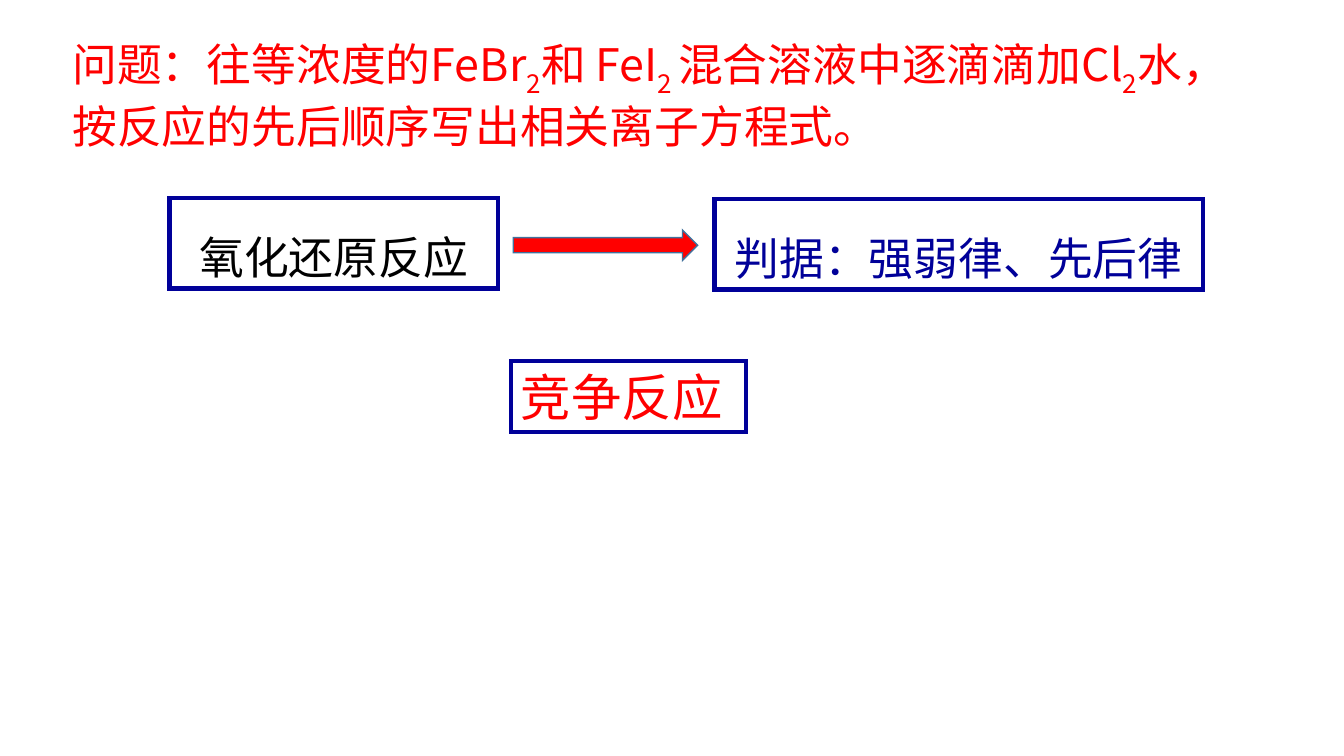
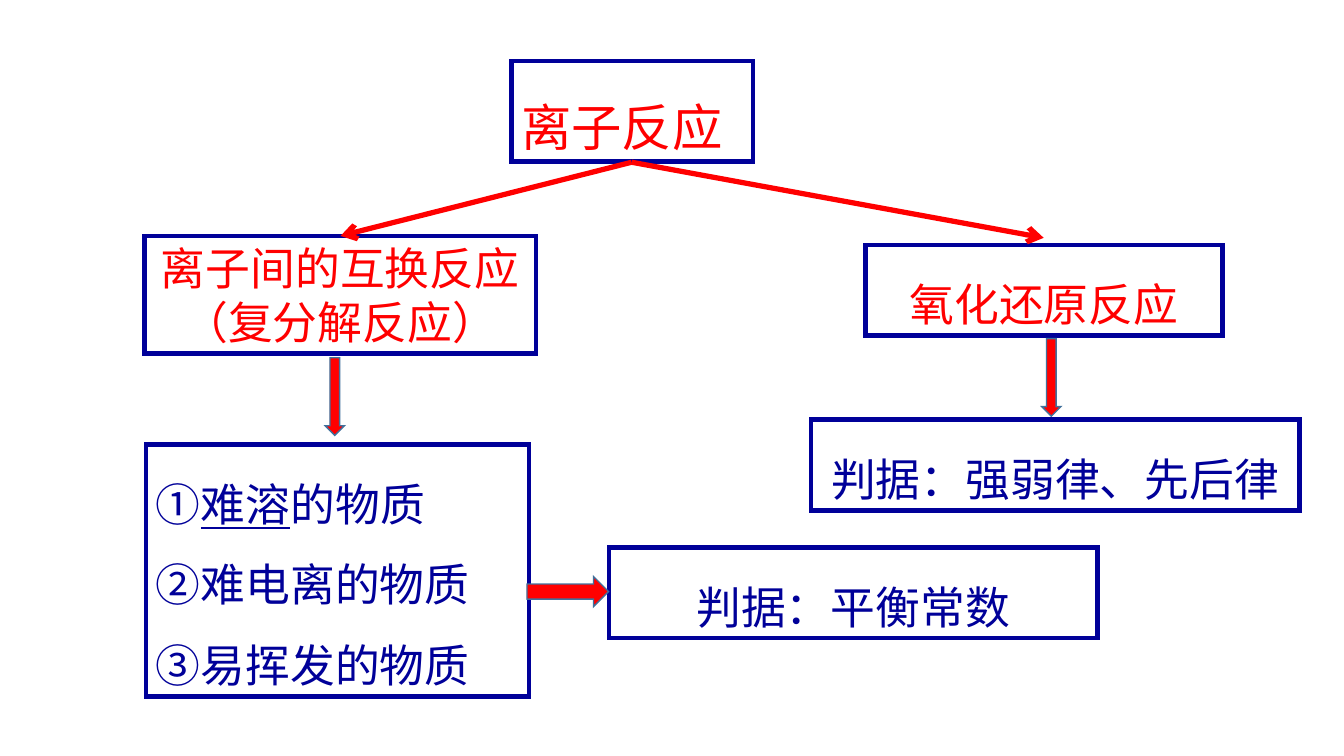
from lxml.etree import SubElement
from pptx import Presentation
from pptx.dml.color import RGBColor
from pptx.enum.shapes import MSO_CONNECTOR, MSO_SHAPE
from pptx.enum.text import MSO_ANCHOR, MSO_AUTO_SIZE, PP_ALIGN
from pptx.oxml.ns import qn
from pptx.util import Pt

# Shared style
RED = RGBColor(0xFF, 0x00, 0x00)
NAVY = RGBColor(0x00, 0x00, 0x99)
BLACK = RGBColor(0x00, 0x00, 0x00)
ARROW_EDGE = RGBColor(0x41, 0x71, 0x9C)
SANS = "Noto Sans CJK SC"
SERIF = "Times New Roman"
SINGLE, WIDE = 1.0, 1.5
LEFT, CENTER, JUSTIFY = PP_ALIGN.LEFT, PP_ALIGN.CENTER, PP_ALIGN.JUSTIFY


def write_text(box, paragraphs, size, color, align, spacing):
    """Fill a box; each paragraph is a list of (text, font, style) runs."""
    frame = box.text_frame
    frame.word_wrap = True
    frame.auto_size = MSO_AUTO_SIZE.NONE
    frame.vertical_anchor = MSO_ANCHOR.TOP
    for index, runs in enumerate(paragraphs):
        para = frame.add_paragraph() if index else frame.paragraphs[0]
        para.alignment = align
        para.line_spacing = spacing
        for text, font, style in runs:
            span = para.add_run()
            span.text = text
            span.font.size = Pt(size)
            span.font.color.rgb = color
            span.font.name = font
            properties = span._r.get_or_add_rPr()
            SubElement(properties, qn("a:ea")).set("typeface", SANS)
            if style == "underline":
                span.font.underline = True
            elif style == "subscript":
                properties.set("baseline", "-25000")


def add_preset(page, preset, place, fill, edge, weight):
    """Draw a preset shape at (left, top, width, height)."""
    shape = page.shapes.add_shape(preset, *[Pt(length) for length in place])
    shape.shadow.inherit = False
    if fill is None:
        shape.fill.background()
    else:
        shape.fill.solid()
        shape.fill.fore_color.rgb = fill
    shape.line.color.rgb = edge
    shape.line.width = Pt(weight)
    SubElement(shape.line._get_or_add_ln(), qn("a:miter")).set("lim", "800000")
    return shape


deck = Presentation()
deck.slide_width, deck.slide_height = Pt(960.48), Pt(540)
question_page, summary_page = [deck.slides.add_slide(deck.slide_layouts[6]) for _ in range(2)]

# Question
question = question_page.shapes.add_textbox(Pt(44.6), Pt(23), Pt(868.3), Pt(89.3))
question.text_frame.margin_right = Pt(30)
question_runs = [
    ("问题：往等浓度的FeBr", SANS, None),
    ("2", SANS, "subscript"),
    ("和 FeI", SANS, None),
    ("2 ", SANS, "subscript"),
    ("混合溶液中逐滴滴加Cl", SANS, None),
    ("2", SANS, "subscript"),
    ("水，按反应的先后顺序写出相关离子方程式。", SANS, None),
]
write_text(question, [question_runs], 32, RED, LEFT, SINGLE)

# Framed boxes: page, place, frame weight, paragraphs, size, color, alignment, spacing
redox = [[("氧化还原反应", SERIF, None)]]
strength_rule = [[("判据：强弱律、先后律", SERIF, None)]]
products = [
    [("①", SANS, None), ("难溶", SERIF, "underline"), ("的物质", SERIF, None)],
    [("②", SANS, None), ("难电离的物质", SERIF, None)],
    [("③", SANS, None), ("易挥发的物质", SERIF, None)],
]
boxes = [
    (question_page, (121.2, 141.4, 234.7, 64.8), 3.25, redox, 32, BLACK, CENTER, WIDE),
    (question_page, (510.5, 142.2, 349.2, 64.8), 3.25, strength_rule, 32, NAVY, CENTER, WIDE),
    (question_page, (365.2, 258, 167.8, 50.4), 2.75,
     [[("竞争反应", SANS, None)]], 36, RED, LEFT, SINGLE),
    (summary_page, (365.4, 43.5, 172.8, 72), 3.25,
     [[("离子反应", SERIF, None)]], 36, RED, JUSTIFY, WIDE),
    (summary_page, (104.4, 317.5, 273.6, 180), 3.25, products, 32, NAVY, JUSTIFY, WIDE),
    (summary_page, (103.1, 168.5, 280.1, 84.2), 3.25,
     [[("离子间的互换反应（复分解反应）", SANS, None)]], 32, RED, CENTER, SINGLE),
    (summary_page, (618.7, 175, 254.9, 64.8), 3.25, redox, 32, RED, CENTER, WIDE),
    (summary_page, (579.6, 299.7, 349.2, 64.8), 3.25, strength_rule, 32, NAVY, CENTER, WIDE),
    (summary_page, (435.2, 391, 349.2, 64.8), 3.25,
     [[("判据：平衡常数", SERIF, None)]], 32, NAVY, CENTER, WIDE),
]
for page, place, weight, paragraphs, size, color, align, spacing in boxes:
    box = add_preset(page, MSO_SHAPE.RECTANGLE, place, None, NAVY, weight)
    write_text(box, paragraphs, size, color, align, spacing)

# Branches from the top box
for end_x, end_y in [(243.4, 168.5), (745.9, 169.9)]:
    branch = summary_page.shapes.add_connector(
        MSO_CONNECTOR.STRAIGHT, Pt(451.4), Pt(115.9), Pt(end_x), Pt(end_y))
    branch.line.color.rgb = RED
    branch.line.width = Pt(3.75)
    SubElement(branch.line._get_or_add_ln(), qn("a:tailEnd")).set("type", "arrow")
    SubElement(branch._element.spPr, qn("a:effectLst"))

# Block arrows
block_arrows = [
    (question_page, MSO_SHAPE.RIGHT_ARROW, (366.8, 164.4, 131.8, 21.6)),
    (summary_page, MSO_SHAPE.DOWN_ARROW, (232.4, 255.6, 13.7, 55.4)),
    (summary_page, MSO_SHAPE.DOWN_ARROW, (744.5, 241.9, 13.7, 55.4)),
    (summary_page, MSO_SHAPE.RIGHT_ARROW, (376.6, 411.8, 58.3, 21.6)),
]
for page, preset, place in block_arrows:
    add_preset(page, preset, place, RED, ARROW_EDGE, 1)

deck.save("out.pptx")
